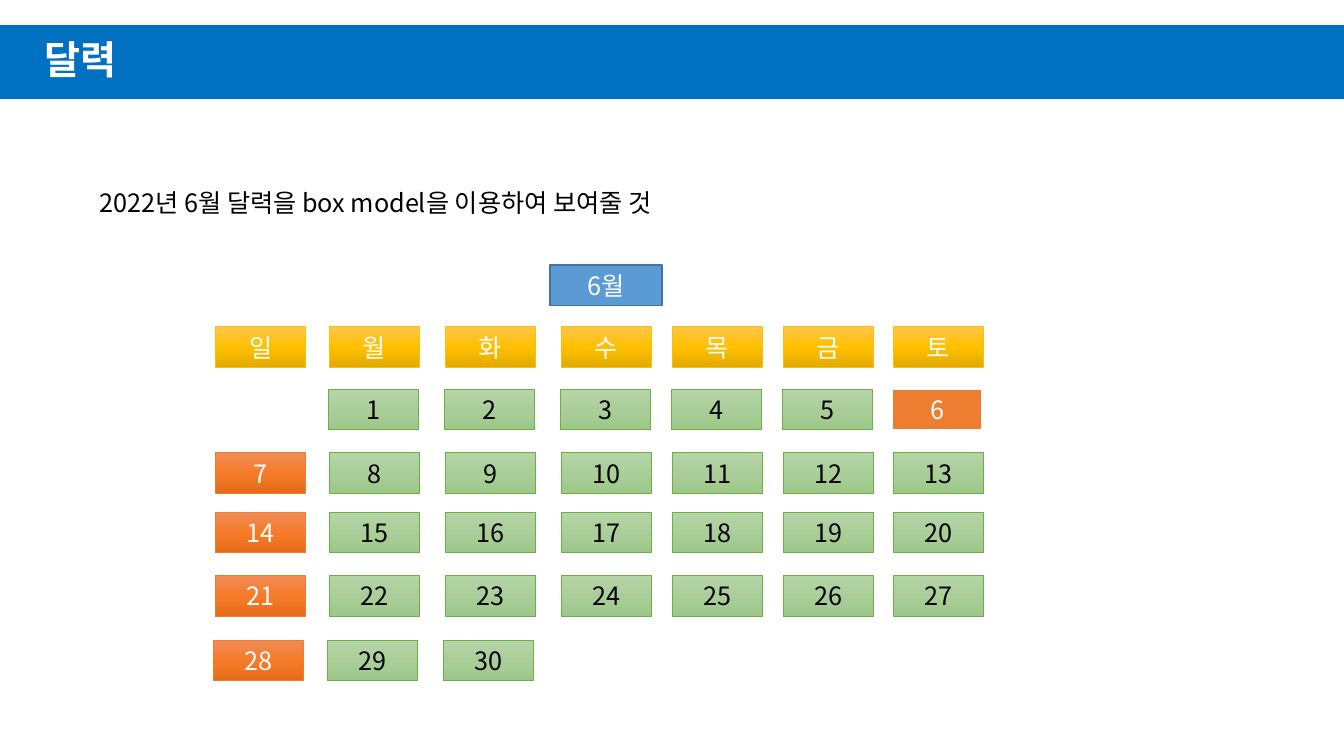
"""Build a slide that shows a month calendar made of boxes."""
from copy import deepcopy

from lxml import etree
from pptx import Presentation
from pptx.dml.color import RGBColor
from pptx.enum.shapes import MSO_SHAPE
from pptx.enum.text import MSO_ANCHOR, MSO_AUTO_SIZE, PP_ALIGN
from pptx.oxml.ns import qn
from pptx.util import Pt

RECTANGLE = MSO_SHAPE.RECTANGLE
MIDDLE = MSO_ANCHOR.MIDDLE
FIXED_SIZE = MSO_AUTO_SIZE.NONE
LEFT, CENTER = PP_ALIGN.LEFT, PP_ALIGN.CENTER

WHITE = RGBColor(0xFF, 0xFF, 0xFF)
BLACK = RGBColor(0x00, 0x00, 0x00)
BAND_BLUE = RGBColor(0x00, 0x70, 0xC0)
MONTH_BLUE = RGBColor(0x5B, 0x9B, 0xD5)
MONTH_EDGE = RGBColor(0x43, 0x73, 0x9E)
GOLD = RGBColor(0xFF, 0xC0, 0x00)
GOLD_LIGHT = RGBColor(0xFF, 0xC6, 0x4B)
GOLD_DARK = RGBColor(0xE3, 0xAB, 0x00)
GREEN = RGBColor(0x70, 0xAD, 0x47)
GREEN_LIGHT = RGBColor(0xB5, 0xD5, 0xA7)
GREEN_MID = RGBColor(0xAA, 0xCE, 0x9A)
GREEN_DARK = RGBColor(0x9C, 0xC9, 0x87)
ORANGE = RGBColor(0xED, 0x7D, 0x31)
ORANGE_LIGHT = RGBColor(0xF1, 0x8C, 0x57)
ORANGE_MID = RGBColor(0xF6, 0x7B, 0x28)
ORANGE_DARK = RGBColor(0xE5, 0x6C, 0x19)

BAND = {"colors": [BAND_BLUE]}
MONTH = {"colors": [MONTH_BLUE], "edge": MONTH_EDGE, "width": 1, "ink": WHITE}
WEEKDAY = {"colors": [GOLD_LIGHT, GOLD, GOLD_DARK], "edge": GOLD, "width": 0.5, "ink": WHITE}
WORKDAY = {"colors": [GREEN_LIGHT, GREEN_MID, GREEN_DARK], "edge": GREEN, "width": 0.5, "ink": BLACK}
SUNDAY = {"colors": [ORANGE_LIGHT, ORANGE_MID, ORANGE_DARK], "edge": ORANGE, "width": 0.5, "ink": WHITE}
HOLIDAY = {"colors": [ORANGE], "edge": WHITE, "width": 1.5, "ink": WHITE}

WEEKDAYS = "일월화수목금토"
COLUMN_LEFTS = [154, 235.4, 318.2, 401, 480.2, 559.4, 638]
WEEK_TOPS = [278, 323.3, 365.8, 411.1, 457.2]
WEEK_SHIFTS = [-0.7, 0, 0, 0, -1.7]
WEEKDAY_TOP = 233.3
CELL_WIDTH, CELL_HEIGHT = 64.4, 29
LAST_DAY, HOLIDAY_DATE = 30, 6


class CalendarSlide:
    """Hold the text style and the slide, and draw each kind of element."""

    body_font = "Noto Sans CJK KR"
    body_size = 18

    def __init__(self, slide):
        """Keep the slide that is drawn on."""
        self.slide = slide

    def set_text(self, shape, text, align, color, **font_values):
        """Put one formatted line of text into a shape."""
        frame = shape.text_frame
        frame_values = {"word_wrap": True, "auto_size": FIXED_SIZE, "vertical_anchor": MIDDLE}
        for name, value in frame_values.items():
            setattr(frame, name, value)
        paragraph = frame.paragraphs[0]
        paragraph.alignment = align
        run = paragraph.add_run()
        run.text = text
        values = {"name": self.body_font, "size": Pt(self.body_size)} | font_values
        for name, value in values.items():
            setattr(run.font, name, value)
        run.font.color.rgb = color
        east_asian = etree.SubElement(run.font._element, qn("a:ea"))
        east_asian.set("typeface", self.body_font)
        return paragraph

    def title(self, text, left, top, width, height):
        """Move and format the title placeholder."""
        heading = self.slide.shapes.title
        box = {"left": left, "top": top, "width": width, "height": height}
        for name, value in box.items():
            setattr(heading, name, Pt(value))
        line = self.set_text(heading, text, LEFT, WHITE, name="Arial", size=Pt(28), bold=True)
        line.line_spacing = 0.9

    def label(self, text, left, top, width, height):
        """Add a plain line of text."""
        box = self.slide.shapes.add_textbox(Pt(left), Pt(top), Pt(width), Pt(height))
        self.set_text(box, text, LEFT, BLACK)

    def box(self, style, left, top, width=CELL_WIDTH, height=CELL_HEIGHT, text=None):
        """Add a rectangle with a plain or graded fill and an optional text."""
        shape = self.slide.shapes.add_shape(RECTANGLE, Pt(left), Pt(top), Pt(width), Pt(height))
        shape.shadow.inherit = False
        self.paint(shape, style["colors"])
        if "edge" in style:
            shape.line.color.rgb = style["edge"]
            shape.line.width = Pt(style["width"])
        else:
            shape.line.fill.background()
        if text:
            self.set_text(shape, text, CENTER, style["ink"])
        return shape

    def paint(self, shape, colors):
        """Fill a shape with one colour, or from top to bottom with three."""
        if len(colors) == 1:
            shape.fill.solid()
            shape.fill.fore_color.rgb = colors[0]
            return
        shape.fill.gradient()
        shape.fill.gradient_angle = 270
        stop_list = shape._element.spPr.find(qn("a:gradFill")).find(qn("a:gsLst"))
        stop_list.append(deepcopy(stop_list[0]))
        for index, (stop, color) in enumerate(zip(shape.fill.gradient_stops, colors)):
            stop.color.rgb = color
            stop.position = index / 2

    def band(self, left, top, width, height):
        """Add the coloured band behind the title."""
        strip = self.box(BAND, left, top, width, height)
        self.slide.shapes.title._element.addprevious(strip._element)


def day_style(day, column):
    """Return the look of a day."""
    if day == HOLIDAY_DATE:
        return HOLIDAY
    return SUNDAY if column == 0 else WORKDAY


def main():
    """Draw the slide and save it."""
    presentation = Presentation()
    presentation.slide_width, presentation.slide_height = Pt(960), Pt(540)
    calendar = CalendarSlide(presentation.slides.add_slide(presentation.slide_layouts[5]))
    calendar.band(0, 18, 960, 52.6)
    calendar.title("달력", 24.5, 18, 715.7, 52.6)
    calendar.label("2022년 6월 달력을 box model을 이용하여 보여줄 것", 64, 130.3, 494.6, 29)
    calendar.box(MONTH, 393, 189.4, width=80, text="6월")
    for weekday, left in zip(WEEKDAYS, COLUMN_LEFTS):
        calendar.box(WEEKDAY, left, WEEKDAY_TOP, text=weekday)
    for day in range(1, LAST_DAY + 1):
        week, column = divmod(day, len(WEEKDAYS))
        left = COLUMN_LEFTS[column] + WEEK_SHIFTS[week]
        calendar.box(day_style(day, column), left, WEEK_TOPS[week], text=str(day))
    presentation.save("out.pptx")


if __name__ == "__main__":
    main()
